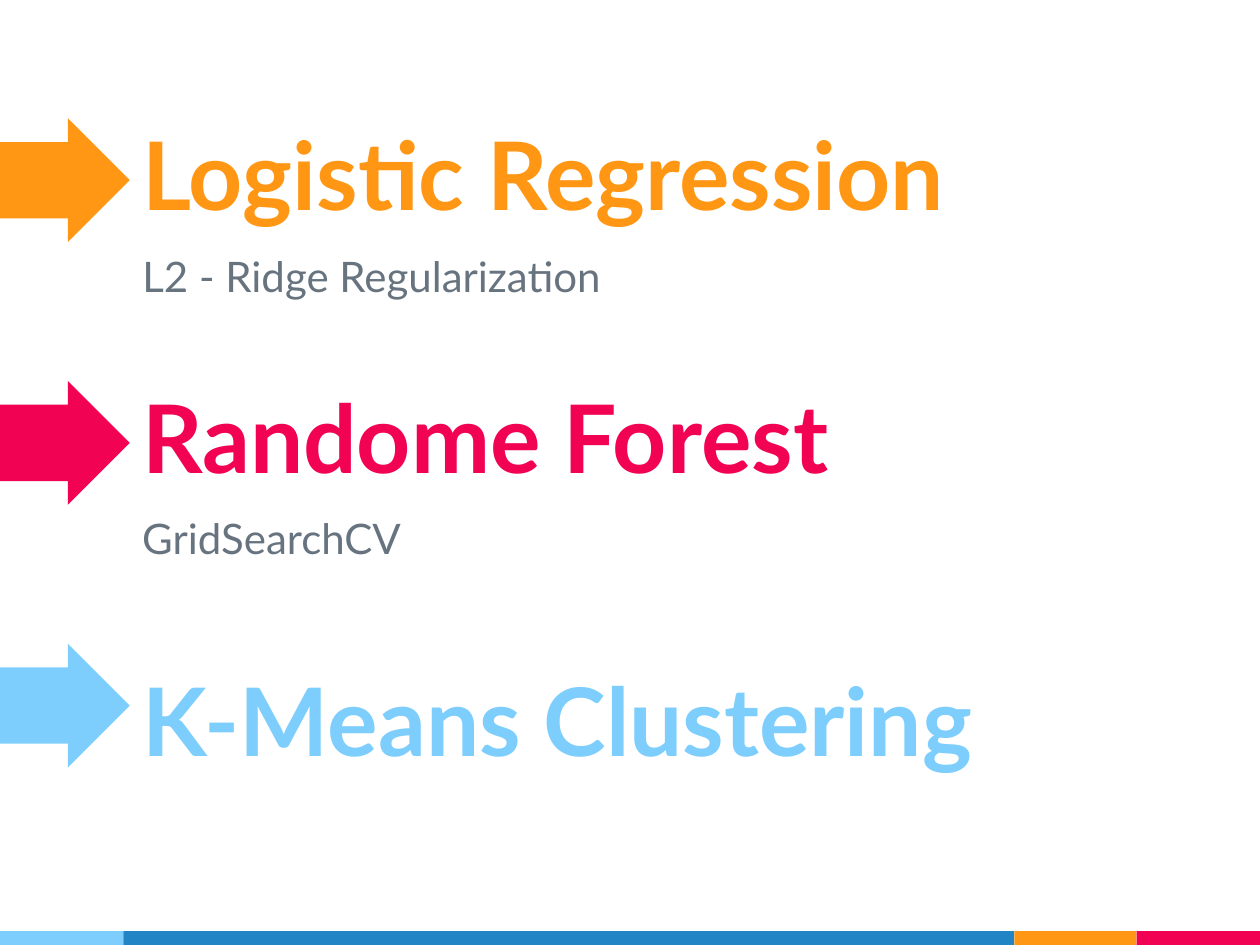
from pptx import Presentation
from pptx.dml.color import RGBColor
from pptx.enum.shapes import MSO_SHAPE
from pptx.enum.text import MSO_ANCHOR, MSO_AUTO_SIZE, PP_ALIGN
from pptx.util import Inches, Pt

ORANGE = RGBColor(0xFF, 0x97, 0x15)
CRIMSON = RGBColor(0xF2, 0x02, 0x53)
SKY = RGBColor(0x7E, 0xCE, 0xFD)
BLUE = RGBColor(0x21, 0x85, 0xC5)
GRAY = RGBColor(0x67, 0x74, 0x80)

TEXT_LEFT, TEXT_WIDTH = 1.03, 8.22
HEADING_HEIGHT, DETAIL_HEIGHT = 1.31, 0.68
ARROW_HEIGHT = 0.98
ARROW_TOP, ARROW_STEP = 0.94, 2.085
STRIPE_TOP, STRIPE_HEIGHT = 7.39, 0.11

STRIPES = [(0.98, SKY), (7.07, BLUE), (0.97, ORANGE), (0.98, CRIMSON)]
MODELS = [
    ("Logistic Regression", 0.61, ORANGE, "L2 - Ridge Regularization", 1.89),
    ("Randome Forest", 2.7, CRIMSON, "GridSearchCV", 3.97),
    ("K-Means Clustering", 4.94, SKY, None, None),
]


class SlideBuilder:
    font_name = "Lato"
    frame_format = {
        "word_wrap": True,
        "auto_size": MSO_AUTO_SIZE.NONE,
        "margin_left": Inches(0.1),
        "margin_right": Inches(0.1),
        "margin_top": Inches(0.1),
        "margin_bottom": Inches(0.1),
    }
    para_format = {
        "alignment": PP_ALIGN.LEFT,
        "line_spacing": 1.0,
        "space_before": Pt(0),
        "space_after": Pt(0),
    }

    def __init__(self, deck):
        self.slide = deck.slides.add_slide(deck.slide_layouts[0])
        self.free_placeholders = {
            holder.placeholder_format.idx: holder
            for holder in self.slide.placeholders
        }

    @staticmethod
    def apply(target, values):
        for name, value in values.items():
            setattr(target, name, value)

    def shape(self, kind, left, top, width, height, color):
        shape = self.slide.shapes.add_shape(
            kind, Inches(left), Inches(top), Inches(width), Inches(height)
        )
        shape.shadow.inherit = False
        shape.fill.solid()
        shape.fill.fore_color.rgb = color
        shape.line.fill.background()
        return shape

    def arrow(self, top, color):
        arrow = self.shape(
            MSO_SHAPE.RIGHT_ARROW, 0, top, TEXT_LEFT, ARROW_HEIGHT, color
        )
        arrow.adjustments[0] = 0.618
        arrow.adjustments[1] = 0.5

    def stripe(self, left, width, color):
        self.shape(
            MSO_SHAPE.RECTANGLE, left, STRIPE_TOP, width, STRIPE_HEIGHT, color
        )

    def text(self, holder_index, words, top, height, anchor, size, color, bold):
        place = {
            "left": Inches(TEXT_LEFT),
            "top": Inches(top),
            "width": Inches(TEXT_WIDTH),
            "height": Inches(height),
        }
        box = self.free_placeholders.pop(holder_index, None)
        if box is None:
            box = self.slide.shapes.add_textbox(*place.values())
        self.apply(box, place)
        frame = box.text_frame
        self.apply(frame, {**self.frame_format, "vertical_anchor": anchor})
        para = frame.paragraphs[0]
        self.apply(para, self.para_format)
        span = para.add_run()
        span.text = words
        self.apply(
            span.font, {"name": self.font_name, "size": Pt(size), "bold": bold}
        )
        span.font.color.rgb = color

    def heading(self, words, top, color):
        self.text(0, words, top, HEADING_HEIGHT, MSO_ANCHOR.BOTTOM, 54, color, True)

    def detail(self, words, top):
        self.text(1, words, top, DETAIL_HEIGHT, MSO_ANCHOR.TOP, 24, GRAY, False)


def main():
    deck = Presentation()
    deck.slide_width, deck.slide_height = Inches(10), Inches(7.5)
    builder = SlideBuilder(deck)

    left = 0
    for width, color in STRIPES:
        builder.stripe(left, width, color)
        left += width

    for index, (name, name_top, color, detail, detail_top) in enumerate(MODELS):
        builder.heading(name, name_top, color)
        if detail:
            builder.detail(detail, detail_top)
        builder.arrow(ARROW_TOP + index * ARROW_STEP, color)

    deck.save("out.pptx")


if __name__ == "__main__":
    main()
